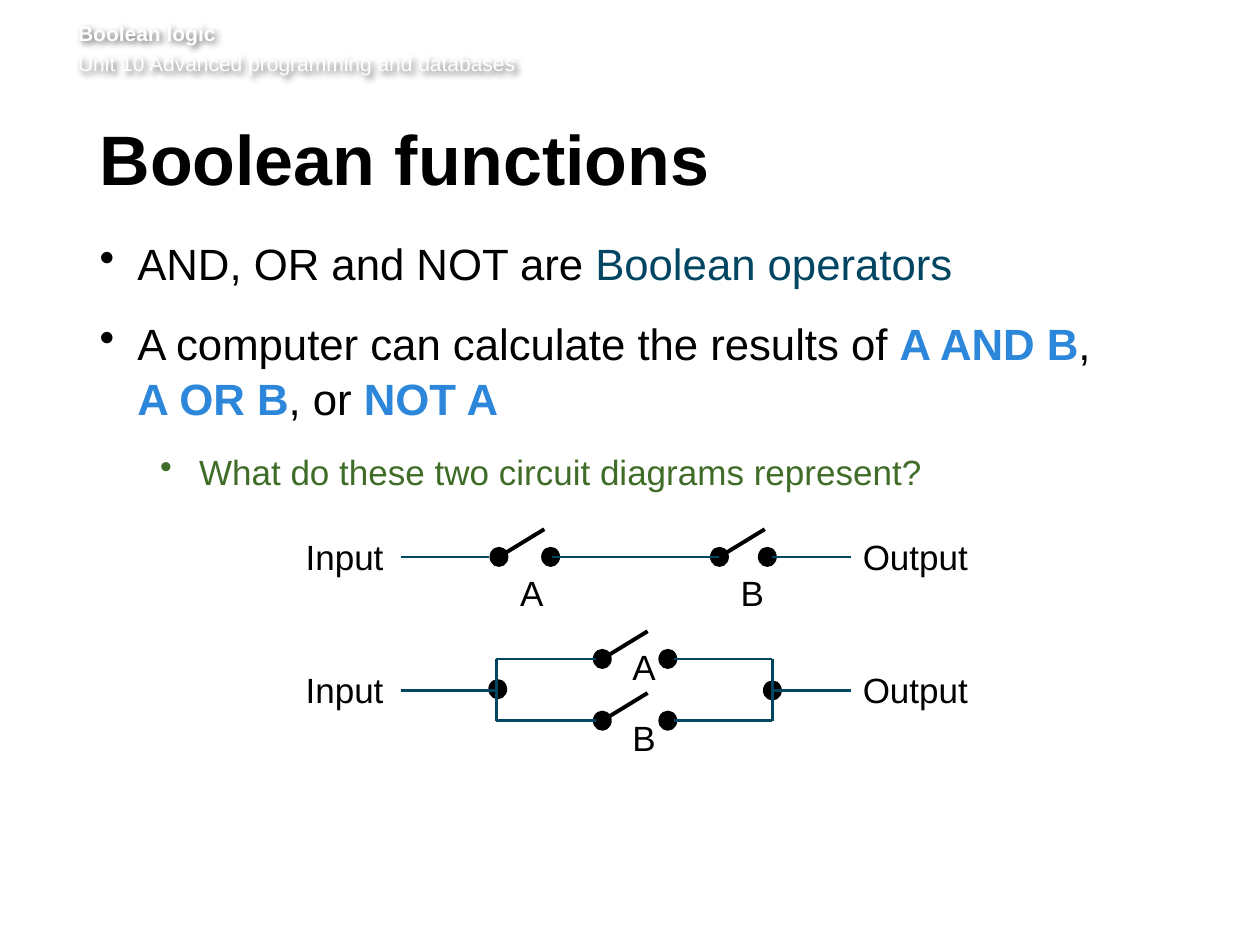
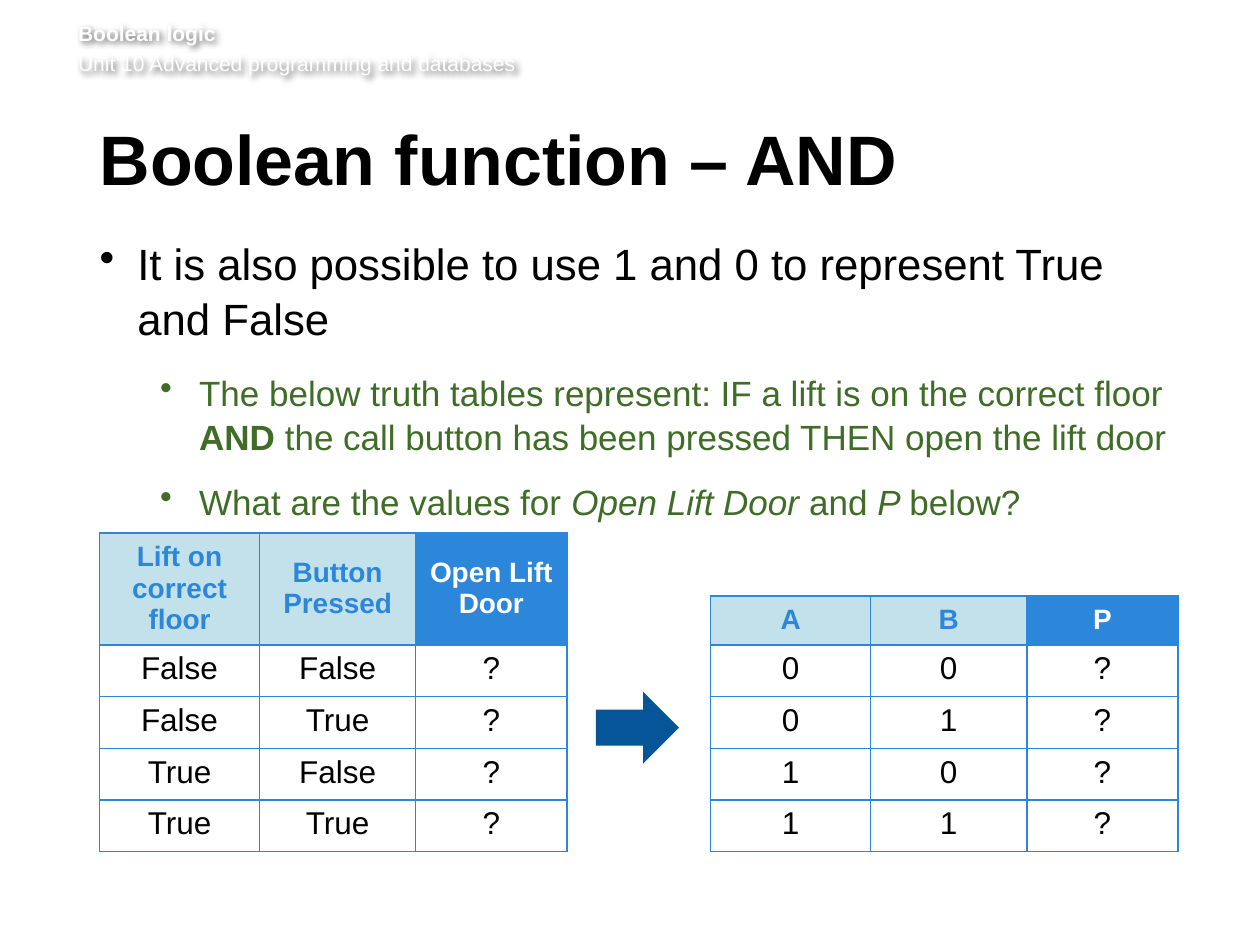
from dataclasses import dataclass

from lxml import etree
from pptx import Presentation
from pptx.dml.color import RGBColor
from pptx.enum.shapes import MSO_CONNECTOR, MSO_SHAPE
from pptx.enum.text import MSO_ANCHOR, PP_ALIGN
from pptx.oxml.ns import qn
from pptx.util import Inches, Pt

STRAIGHT = MSO_CONNECTOR.STRAIGHT
ELLIPSE, RIGHT_ARROW = MSO_SHAPE.OVAL, MSO_SHAPE.RIGHT_ARROW
CENTER, LEFT = PP_ALIGN.CENTER, PP_ALIGN.LEFT
MIDDLE, TOP = MSO_ANCHOR.MIDDLE, MSO_ANCHOR.TOP


@dataclass(frozen=True)
class Theme:
    font: str = "Arial"
    black: str = "000000"
    white: str = "FFFFFF"
    navy: str = "004663"
    blue: str = "2C87DA"
    green: str = "3F6C27"
    pale: str = "C3E1EB"
    arrow: str = "065598"
    banner_size: float = 12
    title_size: float = 40
    point_size: float = 25
    detail_size: float = 20
    heading_size: float = 16
    value_size: float = 18
    wire: float = 1.5
    lever: float = 2.25
    border: float = 1


T = Theme()
NODE_W, NODE_H = 0.15, 0.16
LEVER_DX, LEVER_DY = 0.36, -0.22
COLUMNS = (1.27, 1.24, 1.2)
VALUE_ROW = 0.41


# Shared helpers
def rgb(color):
    return RGBColor.from_string(color)


def add_run(paragraph, text, size, color=T.black, bold=False, italic=False):
    run = paragraph.add_run()
    run.text = text
    font = run.font
    font.name, font.size, font.color.rgb = T.font, Pt(size), rgb(color)
    font.bold, font.italic = bold, italic


def text_frame(slide, box, insets):
    area = slide.shapes.add_textbox(*map(Inches, box))
    frame = area.text_frame
    frame.word_wrap = True
    (frame.margin_left, frame.margin_top,
     frame.margin_right, frame.margin_bottom) = map(Inches, insets)
    return area, frame


def add_label(slide, box, text):
    _, frame = text_frame(slide, box, (0.1, 0.05, 0.1, 0.05))
    paragraph = frame.paragraphs[0]
    paragraph.alignment = CENTER
    add_run(paragraph, text, T.detail_size)


def add_solid(slide, kind, box, color):
    shape = slide.shapes.add_shape(kind, *map(Inches, box))
    shape.shadow.inherit = False
    shape.fill.solid()
    shape.fill.fore_color.rgb = rgb(color)
    shape.line.fill.background()


def add_line(slide, start, end, color=T.navy, width=T.wire):
    line = slide.shapes.add_connector(STRAIGHT, *map(Inches, (*start, *end)))
    line.line.color.rgb = rgb(color)
    line.line.width = Pt(width)
    etree.SubElement(line._element.spPr, qn("a:effectLst"))


# Banner, title and bullets
def add_banner(slide, box):
    area, frame = text_frame(slide, box, (0, 0, 0, 0.05))
    add_run(frame.paragraphs[0], "Boolean logic", T.banner_size, T.white, bold=True)
    unit = frame.add_paragraph()
    unit.space_before = Pt(2.9)
    add_run(unit, "Unit 10 Advanced programming and databases", T.banner_size, T.white)
    # Soft shadow that makes the white lettering readable
    effects = etree.SubElement(area._element.spPr, qn("a:effectLst"))
    shadow = etree.SubElement(effects, qn("a:outerShdw"), blurRad="50800",
                              dist="25400", dir="2700000", algn="tl", rotWithShape="0")
    tint = etree.SubElement(shadow, qn("a:srgbClr"), val=T.black)
    etree.SubElement(tint, qn("a:alpha"), val="60000")


def add_title(slide, box, text):
    _, frame = text_frame(slide, box, (0, 0.05, 0.1, 0.05))
    paragraph = frame.paragraphs[0]
    paragraph.line_spacing = Pt(39)
    add_run(paragraph, text, T.title_size, bold=True)


def add_bullets(slide, box, items):
    """Each item is (level, runs); a run is (text, options) or None for a line break."""
    levels = ((0.3, 0.3, 14, T.point_size, T.black),
              (0.79, 0.31, 12, T.detail_size, T.green))
    _, frame = text_frame(slide, box, (0, 0, 0.1, 0.05))
    for index, (level, runs) in enumerate(items):
        paragraph = frame.add_paragraph() if index else frame.paragraphs[0]
        margin, hang, after, size, color = levels[level]
        paragraph.level = level
        props = paragraph._p.get_or_add_pPr()
        props.set("marL", str(Inches(margin)))
        props.set("indent", str(-Inches(hang)))
        etree.SubElement(props, qn("a:buChar"), char="•")
        paragraph.line_spacing = 1.05
        paragraph.space_after = Pt(after)
        for run in runs:
            if run is None:
                paragraph.add_line_break()
            else:
                text, options = run
                add_run(paragraph, text, size, **{"color": color, **options})


def start_slide(deck, title, bullet_box, items):
    slide = deck.slides.add_slide(deck.slide_layouts[6])
    add_banner(slide, (0.62, 0.16, 8.82, 0.49))
    add_title(slide, (0.79, 0.99, 8.55, 0.73), title)
    add_bullets(slide, bullet_box, items)
    return slide


# Circuit diagrams
def add_node(slide, x, y):
    add_solid(slide, ELLIPSE, (x - NODE_W / 2, y - NODE_H / 2, NODE_W, NODE_H), T.black)


def add_switch(slide, x, y, gap, name, label_dx, label_dy):
    add_node(slide, x, y)
    add_node(slide, x + gap, y)
    add_line(slide, (x, y), (x + LEVER_DX, y + LEVER_DY), T.black, T.lever)
    add_label(slide, (x + label_dx, y + label_dy, 0.28, 0.44), name)


def add_terminals(slide, left, y, inner_left, inner_right):
    """Input and output labels with the wires that lead to the switches."""
    for text, dx in (("Input", 0), ("Output", 4.53)):
        add_label(slide, (left + dx, y - 0.22, 1.11, 0.44), text)
    add_line(slide, (left + 1, y), (inner_left, y))
    add_line(slide, (inner_right, y), (left + 4.57, y))


def series_circuit(slide, left, y):
    first, second = left + 1.78, left + 3.53
    add_switch(slide, first, y, 0.41, "A", 0.07, 0.07)
    add_switch(slide, second, y, 0.38, "B", 0.07, 0.07)
    add_line(slide, (first + 0.42, y), (second, y))
    add_terminals(slide, left, y, first - 0.08, second + 0.42)


def parallel_circuit(slide, left, y):
    split, join, contact, gap = left + 1.76, left + 3.95, left + 2.6, 0.52
    add_node(slide, split + 0.01, y - 0.01)
    add_node(slide, join, y)
    branches = (("A", y - 0.25, -0.16), ("B", y + 0.24, -0.08))
    for name, branch, label_dy in branches:
        add_switch(slide, contact, branch, gap, name, 0.14, label_dy)
        add_line(slide, (split, branch), (contact - 0.05, branch))
        add_line(slide, (contact + gap + 0.05, branch), (join, branch))
    for x in (split, join):
        add_line(slide, (x, branches[0][1]), (x, branches[1][1]))
    add_terminals(slide, left, y, split, join)


# Truth tables
def fill_cell(cell, text, size, color, bold, fill, anchor):
    cell.vertical_anchor = anchor
    if bold:
        cell.margin_left = cell.margin_right = 0
        cell.margin_top = Inches(0.04)
    paragraph = cell.text_frame.paragraphs[0]
    paragraph.alignment = CENTER
    add_run(paragraph, text, size, color, bold)
    props = cell._tc.get_or_add_tcPr()
    for side in ("lnL", "lnR", "lnT", "lnB"):
        edge = etree.SubElement(props, qn(f"a:{side}"), w=str(Pt(T.border)))
        paint = etree.SubElement(edge, qn("a:solidFill"))
        etree.SubElement(paint, qn("a:srgbClr"), val=T.blue)
    if fill:
        cell.fill.solid()
        cell.fill.fore_color.rgb = rgb(fill)
    else:
        cell.fill.background()


def truth_table(slide, left, top, header_height, headings, values):
    """Two inputs in every combination of values, with the result left open."""
    heights = [header_height] + [VALUE_ROW] * 4
    table = slide.shapes.add_table(
        len(heights), len(COLUMNS),
        *map(Inches, (left, top, sum(COLUMNS), sum(heights)))).table
    table.first_row = table.horz_banding = False
    for column, width in zip(table.columns, COLUMNS):
        column.width = Inches(width)
    for row, height in zip(table.rows, heights):
        row.height = Inches(height)
    for c, heading in enumerate(headings):
        color, fill = (T.white, T.blue) if c == 2 else (T.blue, T.pale)
        fill_cell(table.cell(0, c), heading, T.heading_size, color, True, fill, MIDDLE)
    combinations = [(a, b, "?") for a in values for b in values]
    for r, combination in enumerate(combinations, 1):
        for c, value in enumerate(combination):
            fill_cell(table.cell(r, c), value, T.value_size, T.black, False, None, TOP)


# Slides
def functions_slide(deck):
    key = {"color": T.blue, "bold": True}
    slide = start_slide(deck, "Boolean functions", (0.79, 1.86, 8.53, 3.78), [
        (0, [("AND, OR and NOT are ", {}), ("Boolean operators", {"color": T.navy})]),
        (0, [("A computer can calculate the results of ", {}), ("A AND B", key),
             (", ", {}), None, ("A OR B", key), (", or ", {}), ("NOT A", key)]),
        (1, [("What do these two circuit diagrams represent?", {})]),
    ])
    series_circuit(slide, 2.18, 4.42)
    parallel_circuit(slide, 2.18, 5.48)


def and_slide(deck):
    italic = {"italic": True}
    slide = start_slide(deck, "Boolean function – AND", (0.79, 1.86, 8.65, 5.22), [
        (0, [("It is also possible to use 1 and 0 to represent True and False", {})]),
        (1, [("The below truth tables represent: IF a lift is on the correct floor ", {}),
             ("AND", {"bold": True}),
             (" the call button has been pressed THEN open the lift door", {})]),
        (1, [("What are the values for ", {}), ("Open Lift Door ", italic),
             ("and ", {}), ("P ", italic), ("below?", {})]),
    ])
    truth_table(slide, 0.79, 4.23, 0.83,
                ("Lift on correct floor", "Button Pressed", "Open Lift Door"),
                ("False", "True"))
    add_solid(slide, RIGHT_ARROW, (4.73, 5.49, 0.66, 0.57), T.arrow)
    truth_table(slide, 5.64, 4.73, 0.39, ("A", "B", "P"), ("0", "1"))


def main():
    deck = Presentation()
    deck.slide_width, deck.slide_height = Inches(10), Inches(7.5)
    functions_slide(deck)
    and_slide(deck)
    deck.save("out.pptx")


if __name__ == "__main__":
    main()
